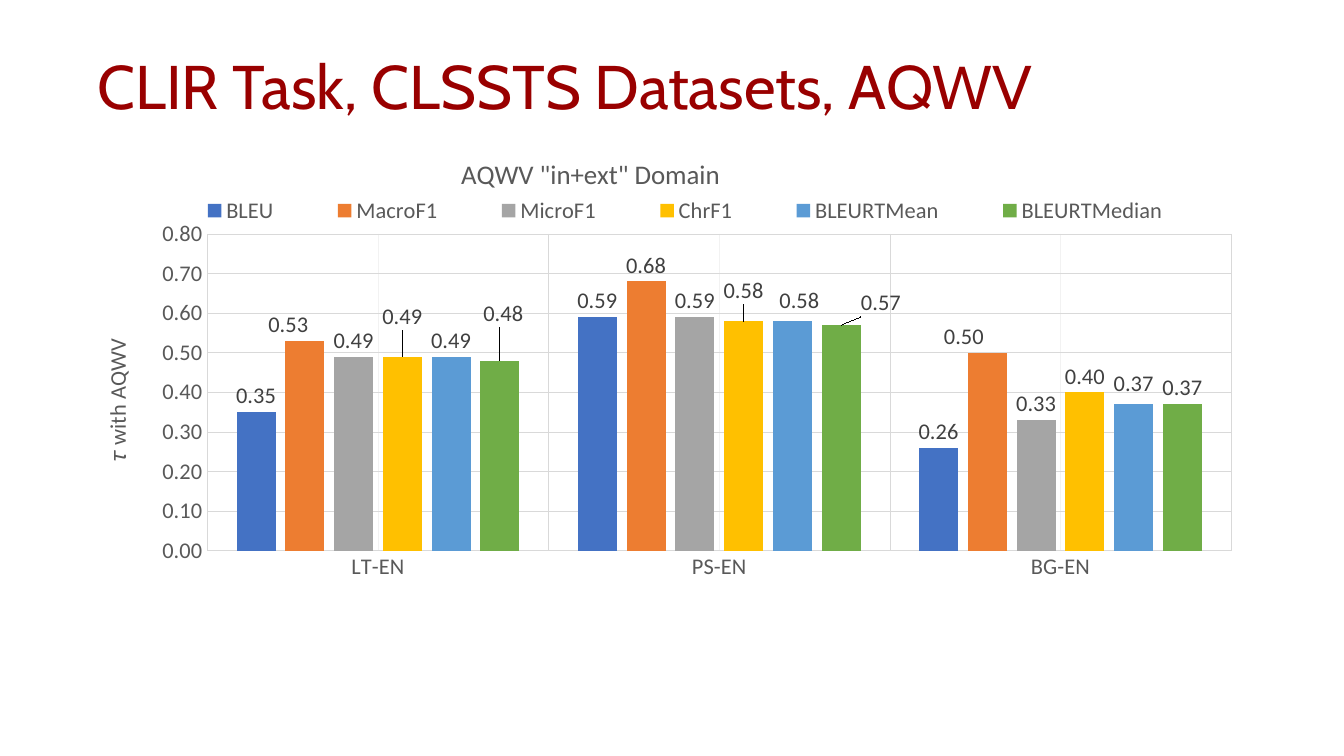
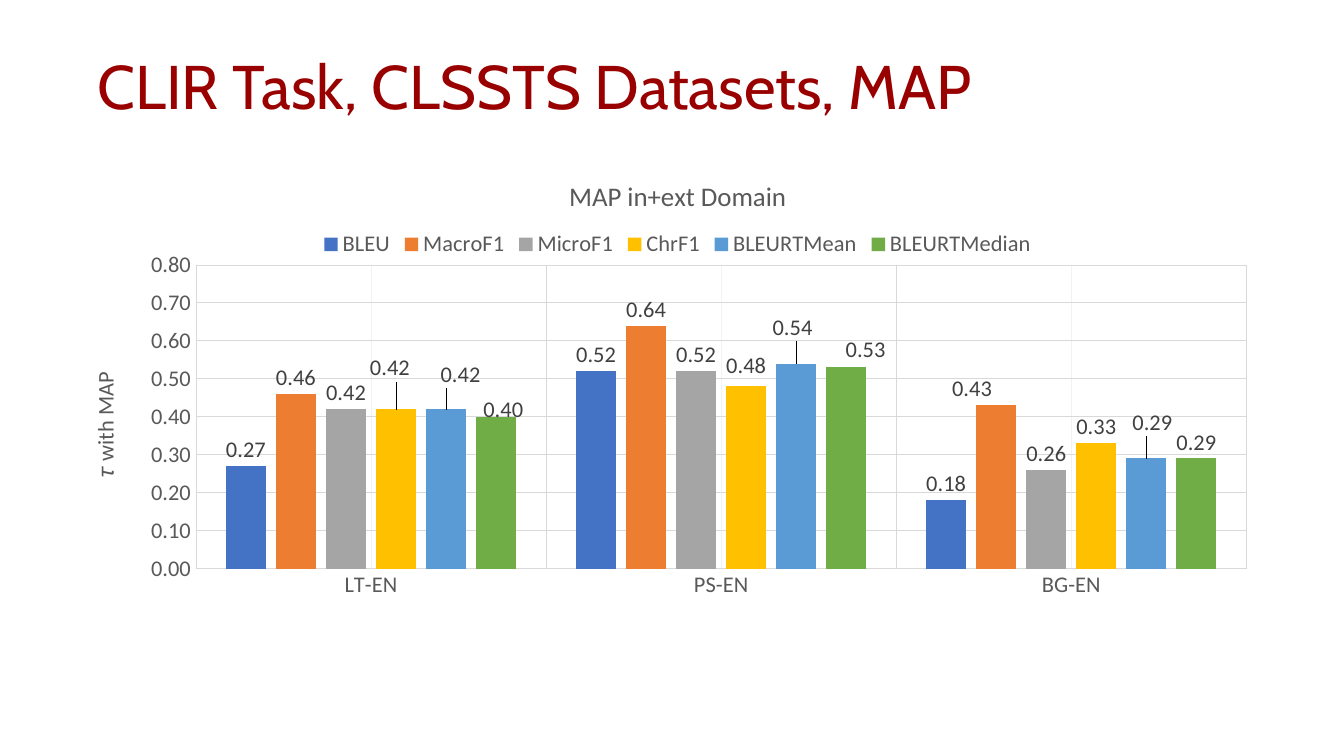
"""Build two slides of clustered column charts comparing metrics on CLIR tasks."""
from copy import deepcopy

from lxml import etree
from pptx import Presentation
from pptx.chart import data as chart_data
from pptx.dml.color import RGBColor
from pptx.enum import chart as chart_enum, text as text_enum
from pptx.oxml import ns
from pptx.util import Inches, Pt

TITLE_FONT, CHART_FONT = "Cabin", "Calibri"
TITLE_RED, AXIS_GREY, LABEL_GREY = "990000", "595959", "404040"
GRID_GREY, FAINT_GREY = "D9D9D9", "F2F2F2"
CATEGORIES = ["LT-EN", "PS-EN", "BG-EN"]
SERIES_COLORS = {
    "BLEU": "4472C4",
    "MacroF1": "ED7D31",
    "MicroF1": "A5A5A5",
    "ChrF1": "FFC000",
    "BLEURTMean": "5B9BD5",
    "BLEURTMedian": "70AD47",
}

AQWV = {
    "title": "CLIR Task, CLSSTS Datasets, AQWV",
    "chart_title": 'AQWV "in+ext" Domain',
    "axis_title": "𝜏 with AQWV",
    "box": (1.83, 2.81, 23.3, 9.44),
    "plot": (0.098, 0.194, 0.872, 0.666),
    "title_at": (0.31, 0.02),
    "legend": (0.05, 0.1, 0.91, 0.09),
    "values": {
        "BLEU": (0.35, 0.59, 0.26),
        "MacroF1": (0.53, 0.68, 0.5),
        "MicroF1": (0.49, 0.59, 0.33),
        "ChrF1": (0.49, 0.58, 0.4),
        "BLEURTMean": (0.49, 0.58, 0.37),
        "BLEURTMedian": (0.48, 0.57, 0.37),
    },
    "label_shifts": {
        "MacroF1": {0: (-0.014, 0), 2: (-0.02, 0)},
        "ChrF1": {0: (0, -0.05), 1: (0, -0.03)},
        "BLEURTMean": {1: (0.006, -0.01), 2: (0, -0.01)},
        "BLEURTMedian": {0: (0.003, -0.065), 1: (0.034, -0.013)},
    },
}

MAP = {
    "title": "CLIR Task, CLSSTS Datasets, MAP",
    "chart_title": "MAP in+ext Domain",
    "axis_title": "𝜏 with MAP",
    "box": (1.41, 3.2, 24.07, 9.05),
    "plot": (0.103, 0.227, 0.866, 0.666),
    "values": {
        "BLEU": (0.27, 0.52, 0.18),
        "MacroF1": (0.46, 0.64, 0.43),
        "MicroF1": (0.42, 0.52, 0.26),
        "ChrF1": (0.42, 0.48, 0.33),
        "BLEURTMean": (0.42, 0.54, 0.29),
        "BLEURTMedian": (0.4, 0.53, 0.29),
    },
    "label_shifts": {
        "MacroF1": {2: (-0.02, 0)},
        "ChrF1": {0: (-0.005, -0.055), 1: (0, -0.01)},
        "BLEURTMean": {0: (0.012, -0.04), 1: (-0.003, -0.044), 2: (0.005, -0.044)},
        "BLEURTMedian": {0: (0.006, 0.02), 1: (0.016, -0.004)},
    },
}


def color(hex_code):
    """Turn a hex string into a colour."""
    return RGBColor.from_string(hex_code)


def style_font(font, hex_code, size=32, name=CHART_FONT):
    """Set face, size and colour of a font."""
    font.name, font.size, font.bold = name, Pt(size), False
    font.color.rgb = color(hex_code)


def style_line(line, hex_code):
    """Draw a thin line in one colour."""
    line.color.rgb = color(hex_code)
    line.width = Pt(0.75)


def set_layout(parent, index, position, edge=True, target=None):
    """Give a chart element a manual layout in fractions of the chart."""
    for old_layout in parent.findall(ns.qn("c:layout")):
        parent.remove(old_layout)
    layout = etree.Element(ns.qn("c:layout"))
    manual = etree.SubElement(layout, ns.qn("c:manualLayout"))
    settings = {"layoutTarget": target} if target else {}
    if edge:
        settings.update(xMode="edge", yMode="edge")
    settings.update(zip("xywh", position))
    for tag, value in settings.items():
        etree.SubElement(manual, ns.qn(f"c:{tag}"), val=str(value))
    parent.insert(index, layout)


def set_title(slide, title):
    """Fill and format the title placeholder."""
    shape = slide.shapes.title
    shape.left, shape.top = Inches(1.83), Inches(0.75)
    shape.width, shape.height = Inches(23), Inches(2.06)
    frame = shape.text_frame
    frame.text = title
    frame.word_wrap = True
    frame.vertical_anchor = text_enum.MSO_ANCHOR.MIDDLE
    paragraph = frame.paragraphs[0]
    paragraph.alignment = text_enum.PP_ALIGN.LEFT
    paragraph.line_spacing = 0.9
    style_font(paragraph.runs[0].font, TITLE_RED, 88, TITLE_FONT)


def set_chart_text(title, wording, size):
    """Write a chart or axis title."""
    title.text_frame.text = wording
    style_font(title.text_frame.paragraphs[0].runs[0].font, AXIS_GREY, size)


def add_minor_gridlines(axis, hex_code):
    """Add minor gridlines that follow the major ones in another colour."""
    axis.has_minor_gridlines = True
    major = axis._element.find(ns.qn("c:majorGridlines"))
    minor = axis._element.find(ns.qn("c:minorGridlines"))
    minor.append(deepcopy(major.find(ns.qn("c:spPr"))))
    minor.find(".//" + ns.qn("a:srgbClr")).set("val", hex_code)


def style_axes(chart, axis_title):
    """Format both axes and their gridlines."""
    category_axis, value_axis = chart.category_axis, chart.value_axis
    for axis in (category_axis, value_axis):
        style_font(axis.tick_labels.font, AXIS_GREY)
        axis.has_major_gridlines = True
        style_line(axis.major_gridlines.format.line, GRID_GREY)
    category_axis.major_tick_mark = chart_enum.XL_TICK_MARK.NONE
    style_line(category_axis.format.line, GRID_GREY)
    add_minor_gridlines(category_axis, FAINT_GREY)
    value_axis.minimum_scale, value_axis.maximum_scale = 0, 0.8
    value_axis.major_unit = 0.1
    value_axis.major_tick_mark = chart_enum.XL_TICK_MARK.OUTSIDE
    value_axis.format.line.fill.background()
    value_axis.tick_labels.number_format = "0.00"
    value_axis.tick_labels.number_format_is_linked = False
    value_axis.has_title = True
    set_chart_text(value_axis.axis_title, axis_title, 32)


def style_series(series, shifts):
    """Colour one series, label its columns and move the shifted labels."""
    series.format.fill.solid()
    series.format.fill.fore_color.rgb = color(SERIES_COLORS[series.name])
    series.invert_if_negative = False
    labels = series.data_labels
    labels.show_value = True
    labels.number_format = "0.00"
    labels.number_format_is_linked = False
    labels.position = chart_enum.XL_LABEL_POSITION.OUTSIDE_END
    style_font(labels.font, LABEL_GREY)
    for point in shifts:
        label = series.points[point].data_label
        style_font(label.font, LABEL_GREY)
        label.position = chart_enum.XL_LABEL_POSITION.OUTSIDE_END
    elements = labels._element.findall(ns.qn("c:dLbl"))
    for element, shift in zip(elements, shifts.values()):
        set_layout(element, 1, shift, edge=False)


def add_metric_chart(slide, content):
    """Add the clustered columns for all metrics."""
    data = chart_data.CategoryChartData(number_format="0.00")
    data.categories = CATEGORIES
    for name, values in content["values"].items():
        data.add_series(name, values)
    frame = slide.shapes.add_chart(
        chart_enum.XL_CHART_TYPE.COLUMN_CLUSTERED, *map(Inches, content["box"]), data)
    chart = frame.chart
    style_font(chart.font, "000000")
    chart.has_title = True
    set_chart_text(chart.chart_title, content["chart_title"], 38.4)
    chart.has_legend = True
    chart.legend.position = chart_enum.XL_LEGEND_POSITION.TOP
    chart.legend.include_in_layout = False
    style_font(chart.legend.font, AXIS_GREY)
    style_axes(chart, content["axis_title"])
    plot = chart.plots[0]
    plot.gap_width, plot.overlap = 150, -25
    plot.vary_by_categories = False
    for series in plot.series:
        style_series(series, content["label_shifts"].get(series.name, {}))
    plot_area = chart._chartSpace.find(".//" + ns.qn("c:plotArea"))
    set_layout(plot_area, 0, content["plot"], target="inner")
    if "title_at" in content:
        set_layout(chart.chart_title._element, 1, content["title_at"])
    if "legend" in content:
        set_layout(chart.legend._element, 1, content["legend"])


def main():
    """Build and save the presentation."""
    presentation = Presentation()
    presentation.slide_width, presentation.slide_height = Inches(26.67), Inches(15)
    for content in (AQWV, MAP):
        slide = presentation.slides.add_slide(presentation.slide_layouts[5])
        set_title(slide, content["title"])
        add_metric_chart(slide, content)
    presentation.save("out.pptx")


if __name__ == "__main__":
    main()
